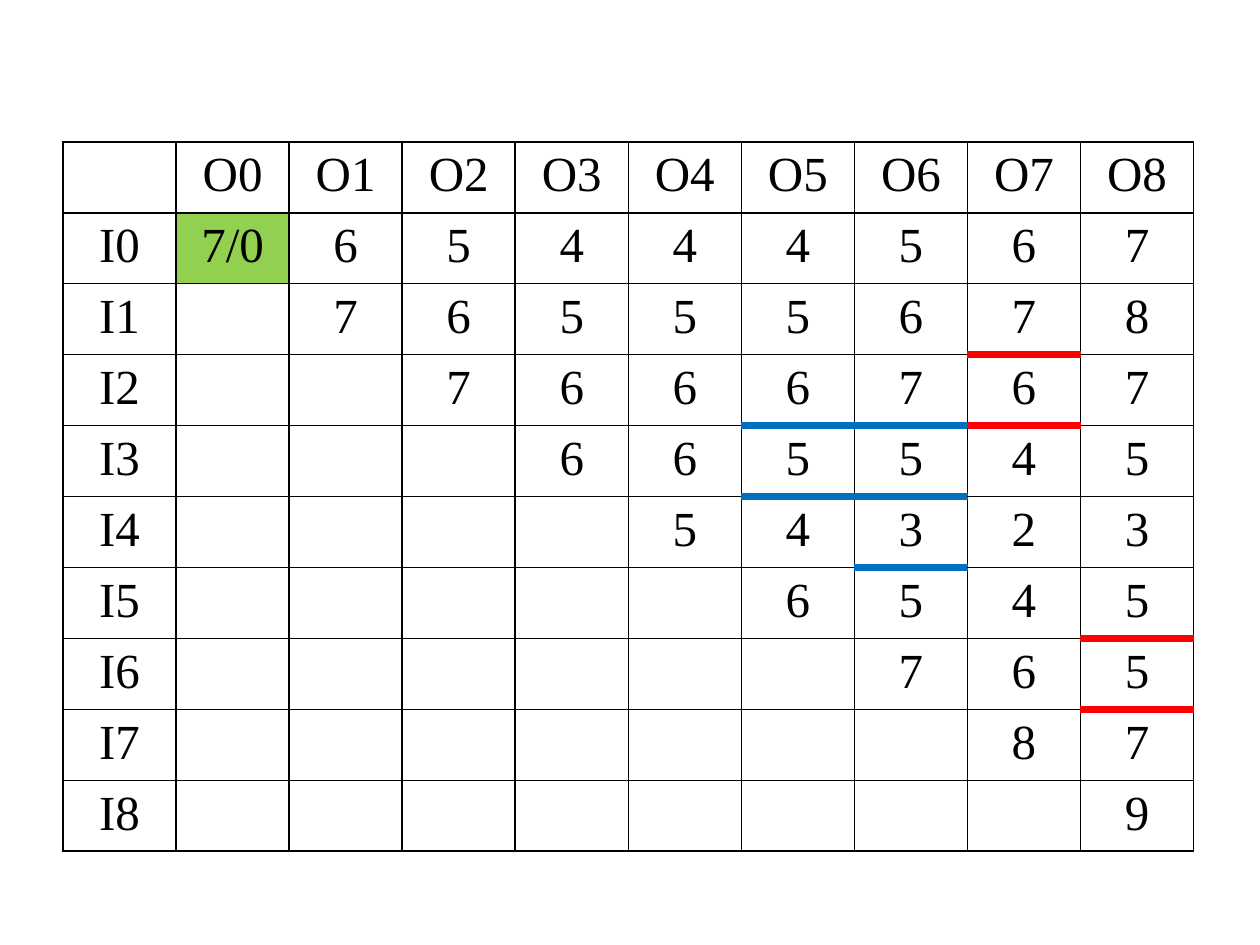
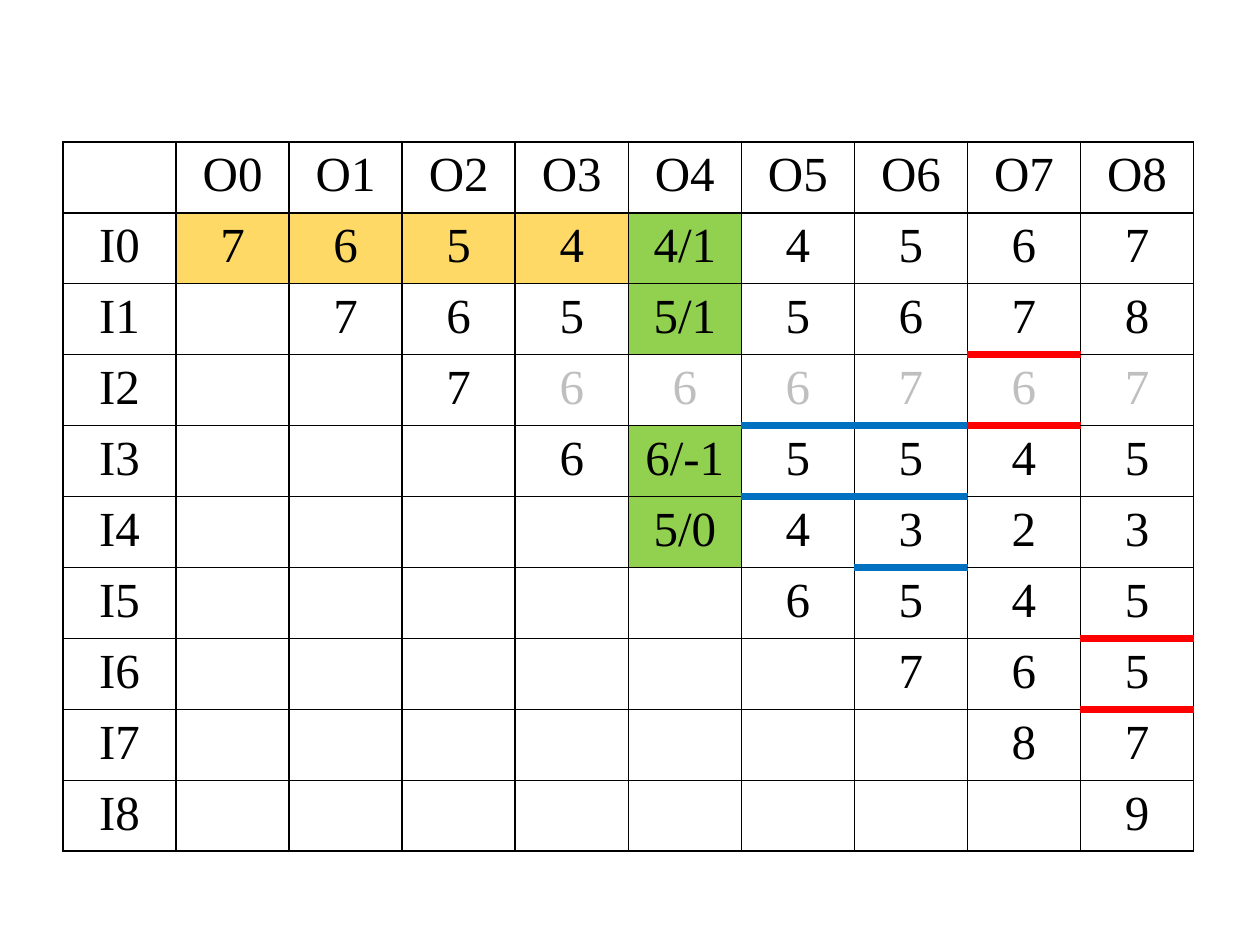
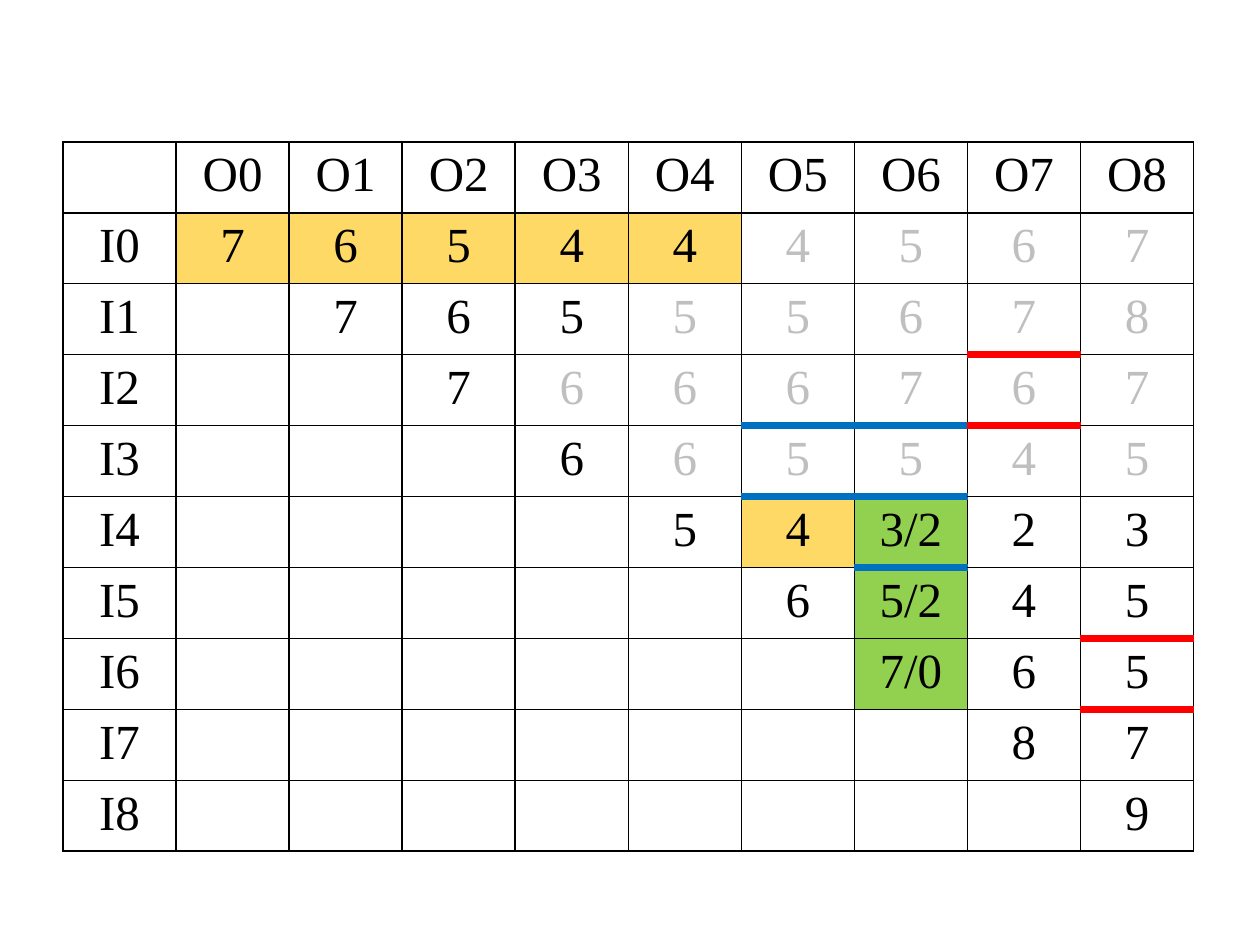
import pptx
import pptx.dml.color
import pptx.enum.text
import pptx.oxml
import pptx.oxml.ns
import pptx.util

Cm = pptx.util.Cm

BLACK, FADED = "000000", "BFBFBF"
VISITED, CURRENT = "FFD966", "92D050"
RED, BLUE = "FF0000", "0070C0"
THIN, THICK = 1, 4.5

DISTANCES = [
    "7 6 5 4 4 4 5 6 7",
    "7 6 5 5 5 6 7 8",
    "7 6 6 6 7 6 7",
    "6 6 5 5 4 5",
    "5 4 3 2 3",
    "6 5 4 5",
    "7 6 5",
    "8 7",
    "9",
]
SIZE = len(DISTANCES)

BARRIERS = {
    (1, 7): RED, (2, 7): RED, (5, 8): RED, (6, 8): RED,
    (2, 5): BLUE, (2, 6): BLUE, (3, 5): BLUE, (3, 6): BLUE, (4, 6): BLUE,
}

STEPS = [
    {"current": {(0, 0): "7/0"}, "visited": [], "faded_from": {}},
    {
        "current": {(0, 4): "4/1", (1, 4): "5/1", (3, 4): "6/-1", (4, 4): "5/0"},
        "visited": [(0, column) for column in range(4)],
        "faded_from": {2: 3},
    },
    {
        "current": {(4, 6): "3/2", (5, 6): "5/2", (6, 6): "7/0"},
        "visited": [(0, column) for column in range(5)] + [(4, 5)],
        "faded_from": {0: 5, 1: 4, 2: 3, 3: 4},
    },
]


def rgb(value):
    return pptx.dml.color.RGBColor.from_string(value)


def write(frame, text, size=28, color=BLACK, font="Times New Roman"):
    paragraph = frame.paragraphs[0]
    paragraph.alignment = pptx.enum.text.PP_ALIGN.CENTER
    run = paragraph.add_run()
    run.text = text
    run.font.size = pptx.util.Pt(size)
    run.font.name = font
    run.font.color.rgb = rgb(color)


class Deck:
    """Holds the presentation style and the slide being built."""

    def __init__(self):
        self.presentation = pptx.Presentation()
        self.presentation.slide_width = Cm(25.4)
        self.presentation.slide_height = Cm(19.05)
        self.slide = None

    def add_slide(self):
        blank = self.presentation.slide_layouts[6]
        self.slide = self.presentation.slides.add_slide(blank)

    def add_grid(self, count, column_width, row_height):
        grid = self.slide.shapes.add_table(
            count, count, Cm(1.27), Cm(2.86),
            Cm(column_width * count), Cm(row_height * count)).table
        grid.first_row = grid.horz_banding = False
        for column in grid.columns:
            column.width = Cm(column_width)
        for row in grid.rows:
            row.height = Cm(row_height)
        return grid

    def border(self, cell, side, color):
        width = pptx.util.Pt(THIN if color == BLACK else THICK)
        cell._tc.get_or_add_tcPr().append(pptx.oxml.parse_xml(
            f'<a:ln{side} {pptx.oxml.ns.nsdecls("a")} w="{width}">'
            f'<a:solidFill><a:srgbClr val="{color}"/></a:solidFill></a:ln{side}>'))

    def fill_cell(self, cell, text="", color=BLACK, fill=None, top=BLACK, bottom=BLACK):
        for side, line in zip("LRTB", (BLACK, BLACK, top, bottom)):
            self.border(cell, side, line)
        if fill:
            cell.fill.solid()
            cell.fill.fore_color.rgb = rgb(fill)
        else:
            cell.fill.background()
        if text:
            write(cell.text_frame, text, color=color)

    def add_distances(self, current, visited, faded_from):
        grid = self.add_grid(SIZE + 1, 2.28, 1.43)
        self.fill_cell(grid.cell(0, 0))
        for index in range(SIZE):
            self.fill_cell(grid.cell(0, index + 1), f"O{index}")
            self.fill_cell(grid.cell(index + 1, 0), f"I{index}")
        for row, distances in enumerate(DISTANCES):
            values = [""] * row + distances.split()
            for column, value in enumerate(values):
                place = (row, column)
                fill = CURRENT if place in current else VISITED if place in visited else None
                self.fill_cell(
                    grid.cell(row + 1, column + 1),
                    current.get(place, value),
                    color=FADED if column >= faded_from.get(row, SIZE) else BLACK,
                    fill=fill,
                    top=BARRIERS.get((row - 1, column), BLACK),
                    bottom=BARRIERS.get(place, BLACK))


def main():
    deck = Deck()
    for step in STEPS:
        deck.add_slide()
        deck.add_distances(**step)
    deck.presentation.save("out.pptx")


if __name__ == "__main__":
    main()
